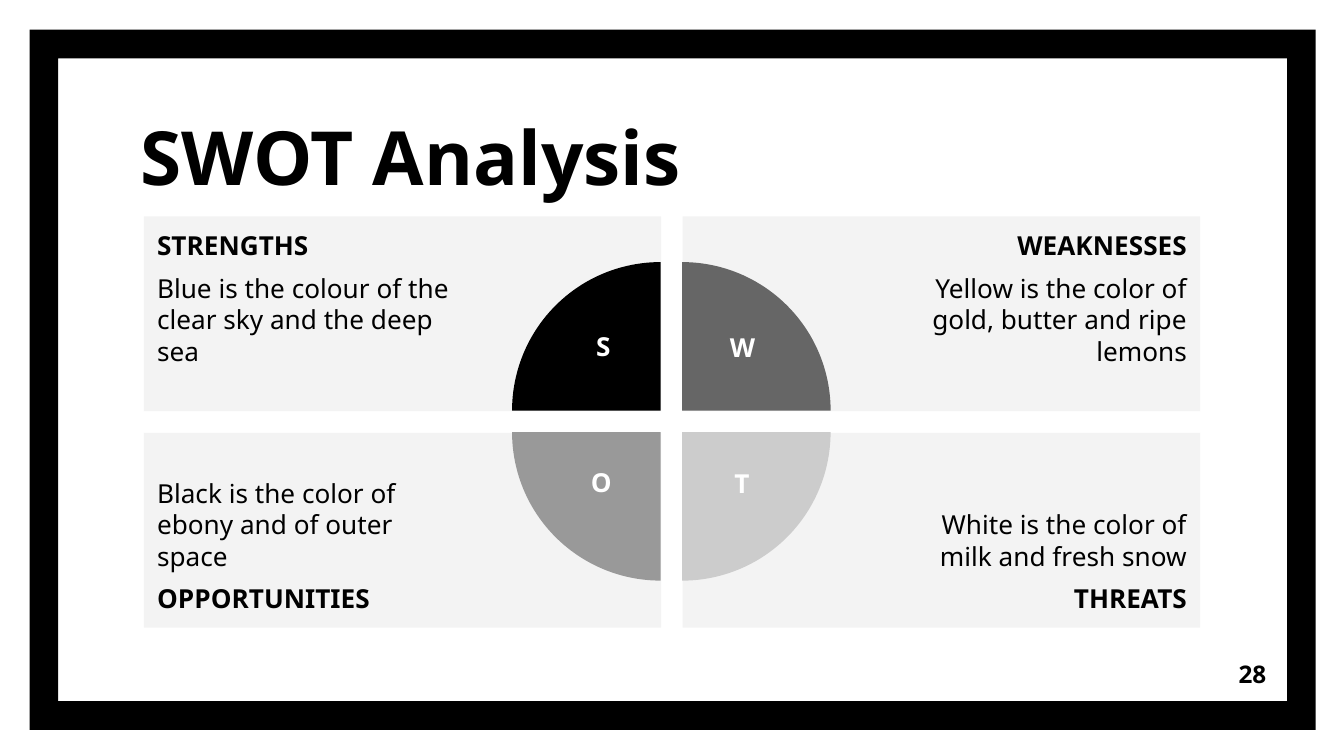
from dataclasses import dataclass

from pptx import Presentation
from pptx.dml.color import RGBColor
from pptx.enum.shapes import MSO_SHAPE
from pptx.enum.text import MSO_ANCHOR, PP_ALIGN
from pptx.util import Inches, Pt

FONT = "Noto Sans"
BLACK, WHITE, PANEL_GREY = "000000", "FFFFFF", "F3F3F3"
PANEL_LEFT, PANEL_TOP = 1.07, 1.61
PANEL_WIDTH, PANEL_HEIGHT = 3.85, 1.45
GAP = 0.16
PIE_SIZE = 2.21
PIE_LEFT, PIE_TOP = 3.81, 1.95
CIRCLE_INSET = 1.5
MARGIN = 0.1


@dataclass
class Quadrant:
    heading: str
    body: str
    column: int
    row: int
    color: str
    rotation: int
    letter_box: tuple[float, float, float, float]


QUADRANTS = [
    Quadrant("STRENGTHS", "Blue is the colour of the clear sky and the deep sea",
             0, 0, BLACK, 0, (4.32, 2.41, 0.34, 0.38)),
    Quadrant("WEAKNESSES", "Yellow is the color of gold, butter and ripe lemons",
             1, 0, "666666", 90, (5.25, 2.42, 0.55, 0.37)),
    Quadrant("OPPORTUNITIES", "Black is the color of ebony and of outer space",
             0, 1, "999999", 270, (4.29, 3.42, 0.37, 0.38)),
    Quadrant("THREATS", "White is the color of milk and fresh snow",
             1, 1, "CCCCCC", 180, (5.35, 3.43, 0.34, 0.37)),
]


def rgb(color: str) -> RGBColor:
    return RGBColor.from_string(color)


def add_filled(slide, kind, box, color: str):
    shape = slide.shapes.add_shape(kind, *map(Inches, box))
    shape.shadow.inherit = False
    shape.fill.solid()
    shape.fill.fore_color.rgb = rgb(color)
    shape.line.fill.background()
    return shape


def set_frame(frame, insets, anchor=MSO_ANCHOR.TOP, wrap: bool = True) -> None:
    frame.word_wrap = wrap
    frame.vertical_anchor = anchor
    (frame.margin_left, frame.margin_top,
     frame.margin_right, frame.margin_bottom) = map(Inches, insets)


def write(paragraph, text: str, *, size: float = 14, color: str = BLACK,
          bold: bool = False, align=PP_ALIGN.LEFT,
          before: float = 0, after: float = 0) -> None:
    paragraph.alignment = align
    paragraph.space_before, paragraph.space_after = Pt(before), Pt(after)
    run = paragraph.add_run()
    run.text = text
    run.font.name, run.font.size, run.font.bold = FONT, Pt(size), bold
    run.font.color.rgb = rgb(color)


def add_label(slide, box, text: str, *, insets=(MARGIN,) * 4,
              anchor=MSO_ANCHOR.TOP, wrap: bool = True, **style) -> None:
    frame = slide.shapes.add_textbox(*map(Inches, box)).text_frame
    set_frame(frame, insets, anchor, wrap)
    write(frame.paragraphs[0], text, **style)


def add_panel(slide, quadrant: Quadrant) -> None:
    left = PANEL_LEFT + quadrant.column * (PANEL_WIDTH + GAP)
    top = PANEL_TOP + quadrant.row * (PANEL_HEIGHT + GAP)
    panel = add_filled(slide, MSO_SHAPE.RECTANGLE,
                       (left, top, PANEL_WIDTH, PANEL_HEIGHT), PANEL_GREY)
    on_right, on_bottom = quadrant.column == 1, quadrant.row == 1
    frame = panel.text_frame
    set_frame(frame,
              (CIRCLE_INSET if on_right else MARGIN, MARGIN,
               MARGIN if on_right else CIRCLE_INSET, MARGIN),
              MSO_ANCHOR.BOTTOM if on_bottom else MSO_ANCHOR.TOP)
    align = PP_ALIGN.RIGHT if on_right else PP_ALIGN.LEFT
    lines = [(quadrant.heading, True), (quadrant.body, False)]
    if on_bottom:
        lines.reverse()
    (first, first_bold), (second, second_bold) = lines
    write(frame.paragraphs[0], first, bold=first_bold, align=align)
    write(frame.add_paragraph(), second, bold=second_bold, align=align,
          before=6, after=6)


def add_quarter(slide, quadrant: Quadrant) -> None:
    box = (PIE_LEFT + quadrant.column * GAP, PIE_TOP + quadrant.row * GAP,
           PIE_SIZE, PIE_SIZE)
    quarter = add_filled(slide, MSO_SHAPE.PIE, box, quadrant.color)
    quarter.adjustments[0], quarter.adjustments[1] = 108, 162
    quarter.rotation = quadrant.rotation


def main() -> None:
    prs = Presentation()
    prs.slide_width = Inches(10)
    prs.slide_height = prs.slide_width * 9 // 16
    slide = prs.slides.add_slide(prs.slide_layouts[6])

    border = add_filled(slide, MSO_SHAPE.FRAME, (0.22, 0.22, 9.57, 5.21), BLACK)
    border.adjustments[0] = 0.041
    add_label(slide, (8.92, 4.8, 0.6, 0.43), "28", size=13, bold=True,
              align=PP_ALIGN.RIGHT, anchor=MSO_ANCHOR.MIDDLE)

    for quadrant in QUADRANTS:
        add_panel(slide, quadrant)
    for quadrant in QUADRANTS:
        add_quarter(slide, quadrant)
    for quadrant in QUADRANTS:
        add_label(slide, quadrant.letter_box, quadrant.heading[0], color=WHITE,
                  bold=True, align=PP_ALIGN.CENTER, wrap=False,
                  insets=(MARGIN, 0.05, MARGIN, 0.05))

    add_label(slide, (0.95, 0.93, 5.57, 0.66), "SWOT Analysis", size=40,
              bold=True, anchor=MSO_ANCHOR.BOTTOM)
    prs.save("out.pptx")


if __name__ == "__main__":
    main()
